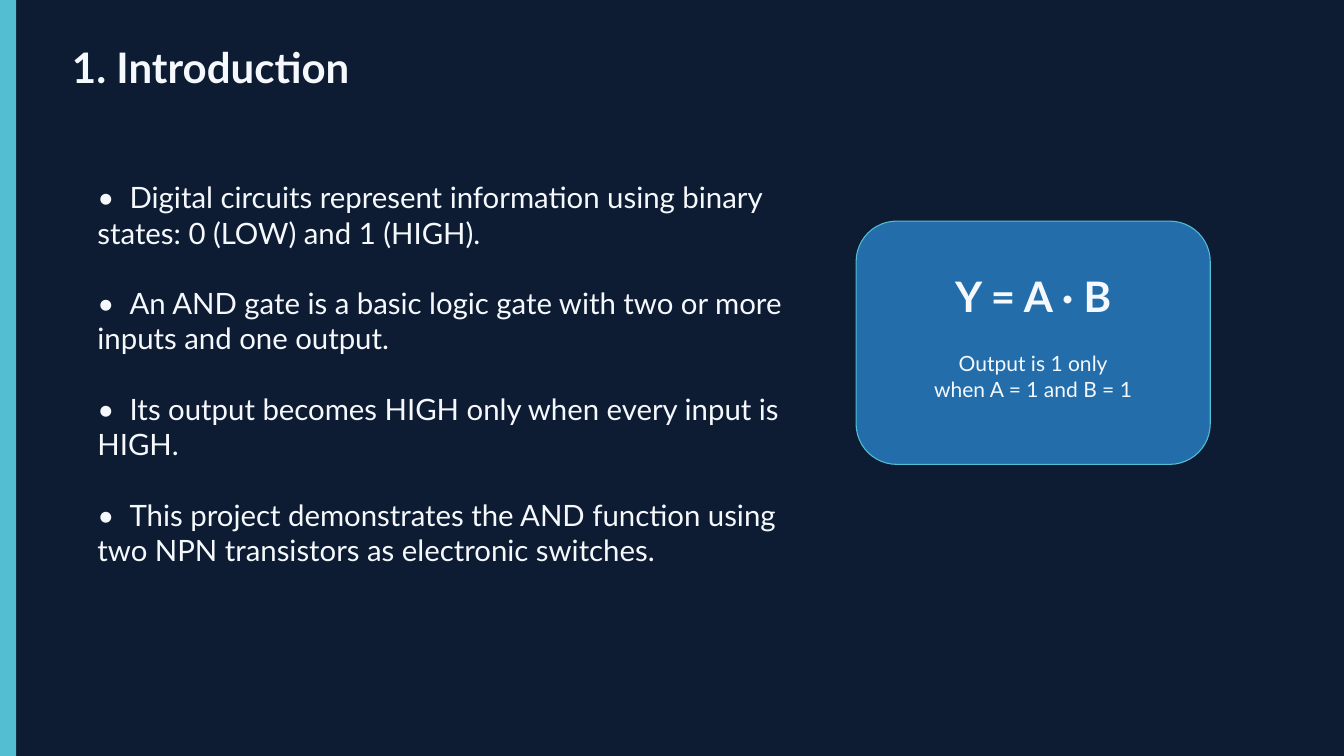
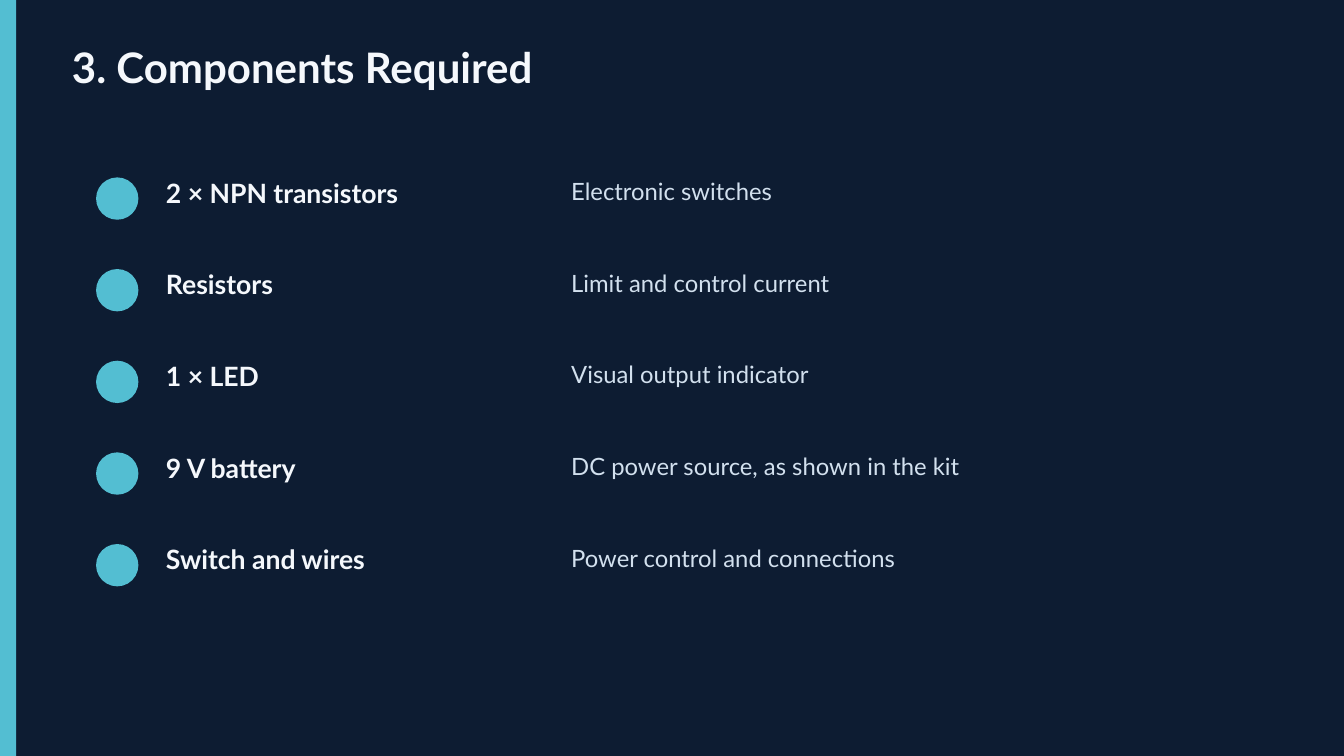
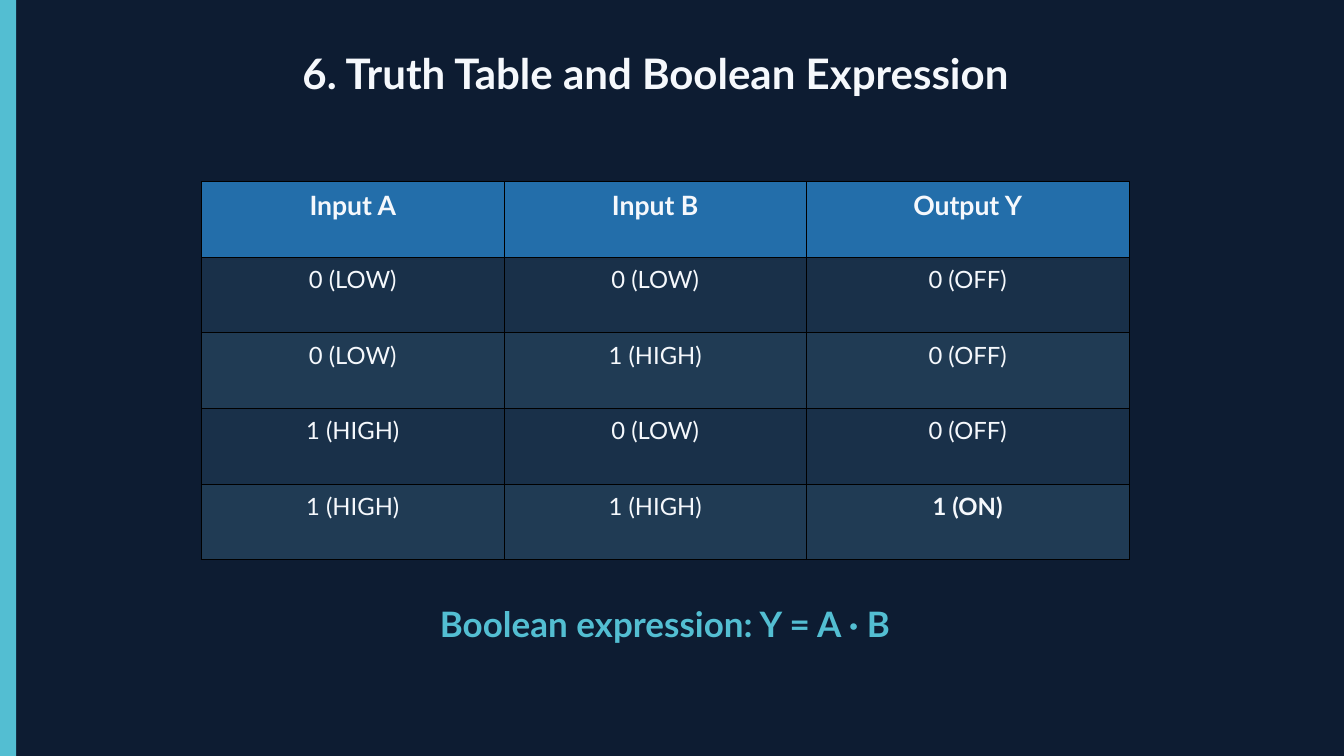
from dataclasses import dataclass

from lxml import etree
from pptx import Presentation
from pptx import util as u
from pptx.dml import color
from pptx.enum import shapes, text
from pptx.oxml import ns

COLORS = {
    "night": "0D1C32",
    "cyan": "53BED2",
    "white": "F5F8FC",
    "mist": "D2E0EE",
    "blue": "236EAA",
    "odd_row": "193049",
    "even_row": "203B54",
    "border": "000000",
}
FONT = "Lato"
COLUMNS = 200
SLIDE_WIDTH = u.Inches(20)
SLIDE_HEIGHT = u.Inches(11.25)
UNIT = SLIDE_WIDTH / COLUMNS
ROWS = SLIDE_HEIGHT / UNIT
LEFT = text.PP_ALIGN.LEFT
CENTER = text.PP_ALIGN.CENTER

FRAME_FORMAT = {
    "margin_left": 0,
    "margin_top": 0,
    "margin_right": 0,
    "margin_bottom": 0,
    "word_wrap": True,
    "auto_size": text.MSO_AUTO_SIZE.NONE,
    "vertical_anchor": text.MSO_ANCHOR.TOP,
}
TITLE = {"size": 45, "bold": True}
BULLET = {"size": 31.5, "gap": 37.8, "tab": 4.8}
FORMULA = {"size": 45, "bold": True, "align": CENTER}
CAPTION = {"size": 22.5, "align": CENTER}
PART = {"size": 28.5, "bold": True}
PURPOSE = {"size": 25.5, "tint": "mist"}
HEADER_CELL = {"size": 28.5, "bold": True, "align": CENTER}
BODY_CELL = {"size": 25.5, "align": CENTER}
RESULT_CELL = {**BODY_CELL, "bold": True}
EXPRESSION = {"size": 37.5, "bold": True, "align": CENTER, "tint": "cyan"}


@dataclass
class Box:
    left: float
    top: float
    width: float
    height: float

    def inner(self, left, top, width, height):
        return Box(self.left + left, self.top + top, width, height)

    def emu(self):
        return [round(v * UNIT) for v in (self.left, self.top, self.width, self.height)]


def assign(target, formats):
    for name, value in formats.items():
        setattr(target, name, value)


def rgb(name):
    return color.RGBColor.from_string(COLORS[name])


def paint(fill, name):
    fill.solid()
    fill.fore_color.rgb = rgb(name)


def add_tab(para, position):
    tabs = etree.SubElement(para._p.get_or_add_pPr(), ns.qn("a:tabLst"))
    etree.SubElement(tabs, ns.qn("a:tab"), pos=str(round(position * UNIT)), algn="l")


def write(frame, lines, size, tint="white", bold=False, align=LEFT, gap=0, tab=None):
    for index, line in enumerate(lines):
        para = frame.add_paragraph() if index else frame.paragraphs[0]
        assign(para, {
            "alignment": align,
            "line_spacing": u.Pt(size * 1.2),
            "space_before": u.Pt(gap if index else 0),
            "space_after": u.Pt(0),
        })
        if tab:
            add_tab(para, tab)
        span = para.add_run()
        span.text = line
        assign(span.font, {"name": FONT, "size": u.Pt(size), "bold": bold})
        span.font.color.rgb = rgb(tint)


def add_text(page, box, lines, style):
    frame = page.shapes.add_textbox(*box.emu()).text_frame
    assign(frame, FRAME_FORMAT)
    write(frame, lines, **style)


def add_block(page, kind, box, fill, line=None):
    block = page.shapes.add_shape(kind, *box.emu())
    block.shadow.inherit = False
    paint(block.fill, fill)
    if line:
        block.line.color.rgb = rgb(line)
        block.line.width = u.Pt(1.13)
    else:
        block.line.fill.background()


def add_page(deck, title, box):
    page = deck.slides.add_slide(deck.slide_layouts[5])
    add_block(page, shapes.MSO_SHAPE.RECTANGLE, Box(0, 0, 2.4, ROWS), "cyan")
    heading = page.shapes.title
    assign(heading, dict(zip(("left", "top", "width", "height"), box.emu())))
    assign(heading.text_frame, FRAME_FORMAT)
    write(heading.text_frame, [title], **TITLE)
    return page


def add_formula_card(page, box, formula, caption):
    add_block(page, shapes.MSO_SHAPE.ROUNDED_RECTANGLE, box, "blue", "cyan")
    add_text(page, box.inner(5.6, 7.4, 41.5, 6.5), [formula], FORMULA)
    add_text(page, box.inner(5.6, 19.3, 41.5, 8.8), caption, CAPTION)


def add_component_list(page, box, components):
    pitch = box.height / len(components)
    for index, (part, purpose) in enumerate(components):
        row = box.inner(0, index * pitch, box.width, pitch)
        add_block(page, shapes.MSO_SHAPE.OVAL, row.inner(0, 0.1, 6.3, 6.3), "cyan")
        add_text(page, row.inner(10.4, 0, 58, 5.3), [part], PART)
        add_text(page, row.inner(70.7, 0, 85, 5.3), [purpose], PURPOSE)


def add_borders(cell):
    properties = cell._tc.get_or_add_tcPr()
    for side in ("lnL", "lnR", "lnT", "lnB"):
        line = etree.SubElement(properties, ns.qn(f"a:{side}"), w=str(u.Pt(0.37)))
        solid = etree.SubElement(line, ns.qn("a:solidFill"))
        etree.SubElement(solid, ns.qn("a:srgbClr"), val=COLORS["border"])


def add_truth_table(page, box, widths, rows):
    table = page.shapes.add_table(len(rows), len(widths), *box.emu()).table
    table.horz_banding = False
    for column, width in zip(table.columns, widths):
        column.width = round(width * UNIT)
    for number, values in enumerate(rows):
        table.rows[number].height = round(box.height / len(rows) * UNIT)
        band = "odd_row" if number % 2 else "even_row"
        for position, value in enumerate(values):
            cell = table.cell(number, position)
            margin = round(1.2 * UNIT)
            assign(cell, {f"margin_{side}": margin for side in ("left", "top", "right", "bottom")})
            add_borders(cell)
            paint(cell.fill, band if number else "blue")
            body = RESULT_CELL if value == "1 (ON)" else BODY_CELL
            write(cell.text_frame, [value], **(body if number else HEADER_CELL))


def build_introduction(deck, title_box):
    page = add_page(deck, "1. Introduction", title_box)
    points = [
        "Digital circuits represent information using binary states: 0 (LOW) and 1 (HIGH).",
        "An AND gate is a basic logic gate with two or more inputs and one output.",
        "Its output becomes HIGH only when every input is HIGH.",
        "This project demonstrates the AND function using two NPN transistors as electronic switches.",
    ]
    add_text(page, Box(14.5, 26.7, 104.5, 57.3), [f"•\t{point}" for point in points], BULLET)
    add_formula_card(page, Box(127.4, 32.9, 52.7, 36.2), "Y = A · B",
                     ["Output is 1 only", "when A = 1 and B = 1"])


def build_components(deck, title_box):
    page = add_page(deck, "3. Components Required", title_box)
    add_component_list(page, Box(14.3, 26.3, 155.7, 68.2), [
        ("2 × NPN transistors", "Electronic switches"),
        ("Resistors", "Limit and control current"),
        ("1 × LED", "Visual output indicator"),
        ("9 V battery", "DC power source, as shown in the kit"),
        ("Switch and wires", "Power control and connections"),
    ])


def build_truth_table(deck, title_box):
    page = add_page(deck, "6. Truth Table and Boolean Expression", title_box)
    low, high, off = "0 (LOW)", "1 (HIGH)", "0 (OFF)"
    add_truth_table(page, Box(30, 27, 138, 56.25), [45, 45, 48], [
        ("Input A", "Input B", "Output Y"),
        (low, low, off),
        (low, high, off),
        (high, low, off),
        (high, high, "1 (ON)"),
    ])
    add_text(page, Box(31, 89.7, 136, 7.2), ["Boolean expression: Y = A · B"], EXPRESSION)


def main():
    deck = Presentation()
    assign(deck, {"slide_width": SLIDE_WIDTH, "slide_height": SLIDE_HEIGHT})
    paint(deck.slide_master.background.fill, "night")
    title_box = Box(10.7, 6.2, 178, 8.3)
    build_introduction(deck, title_box)
    build_components(deck, title_box)
    build_truth_table(deck, Box(45, 7.1, 150, 8.3))
    deck.save("out.pptx")


if __name__ == "__main__":
    main()
